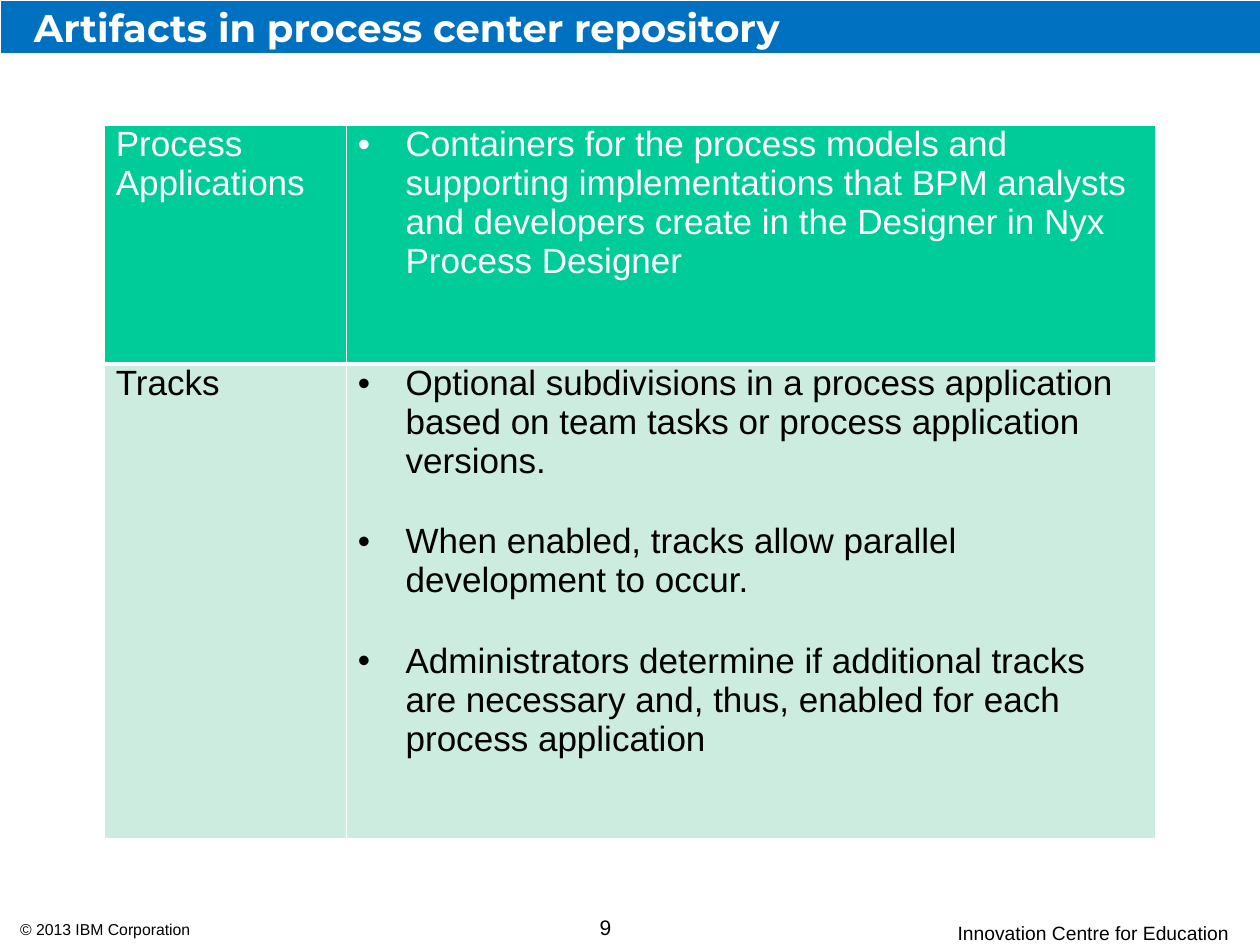
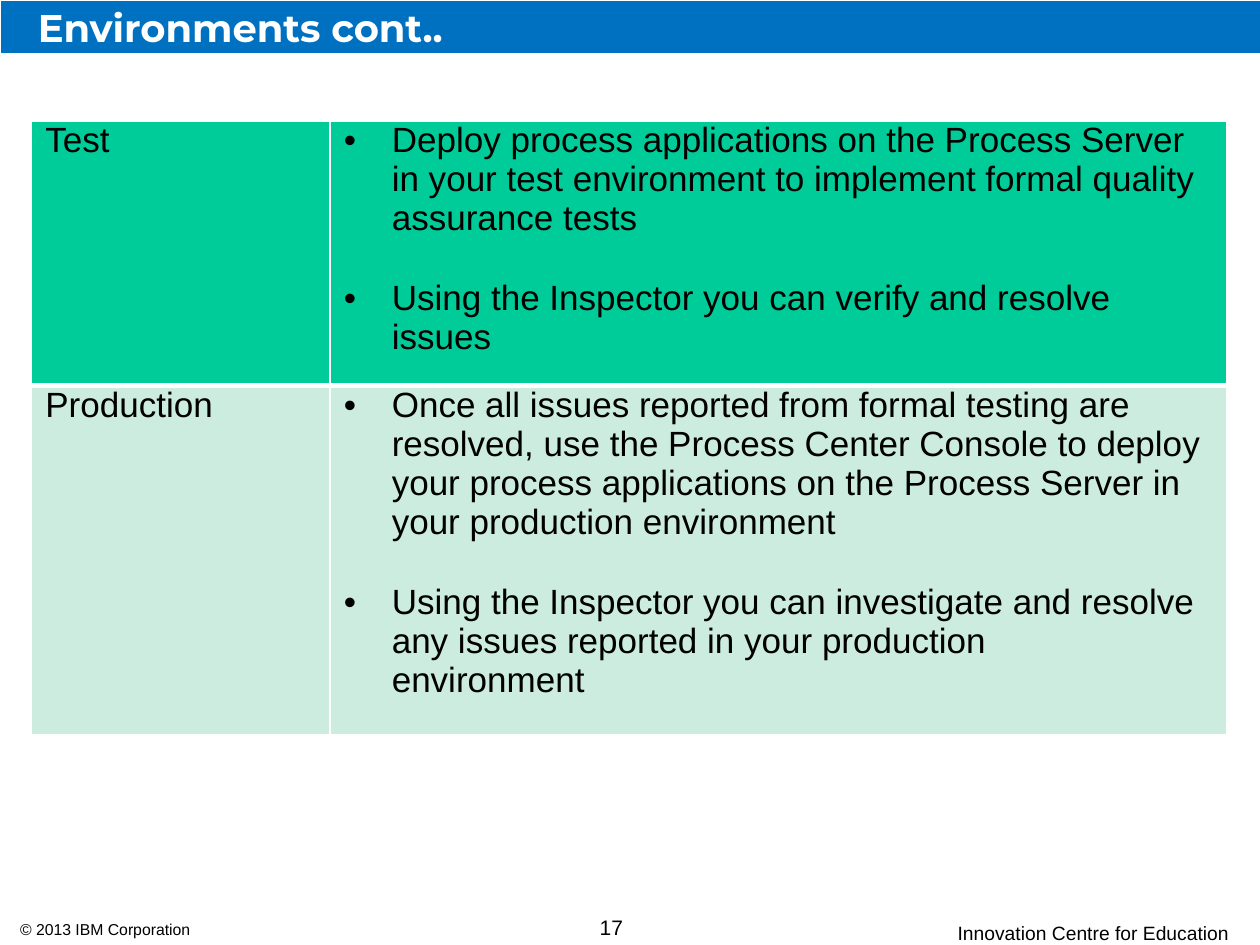
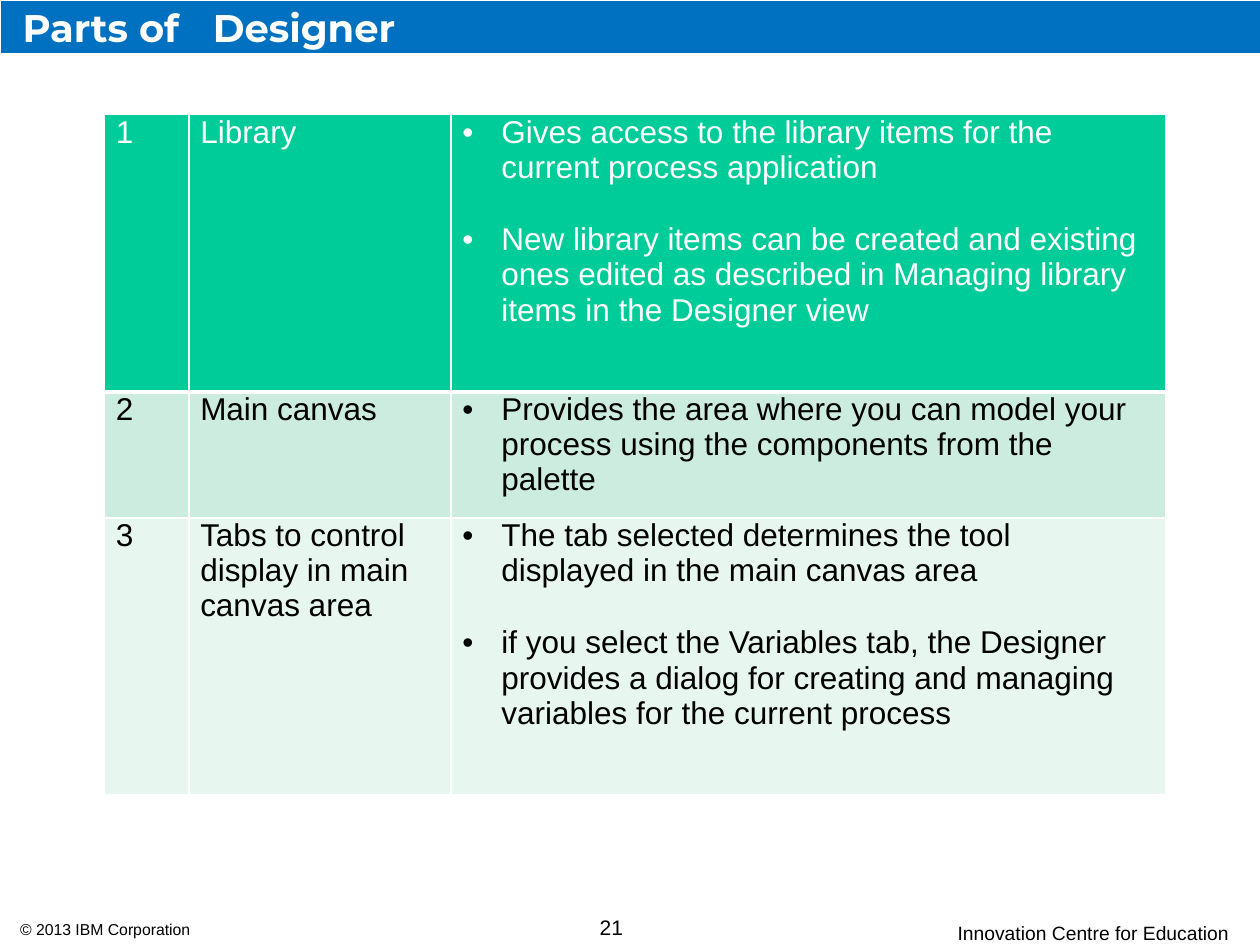
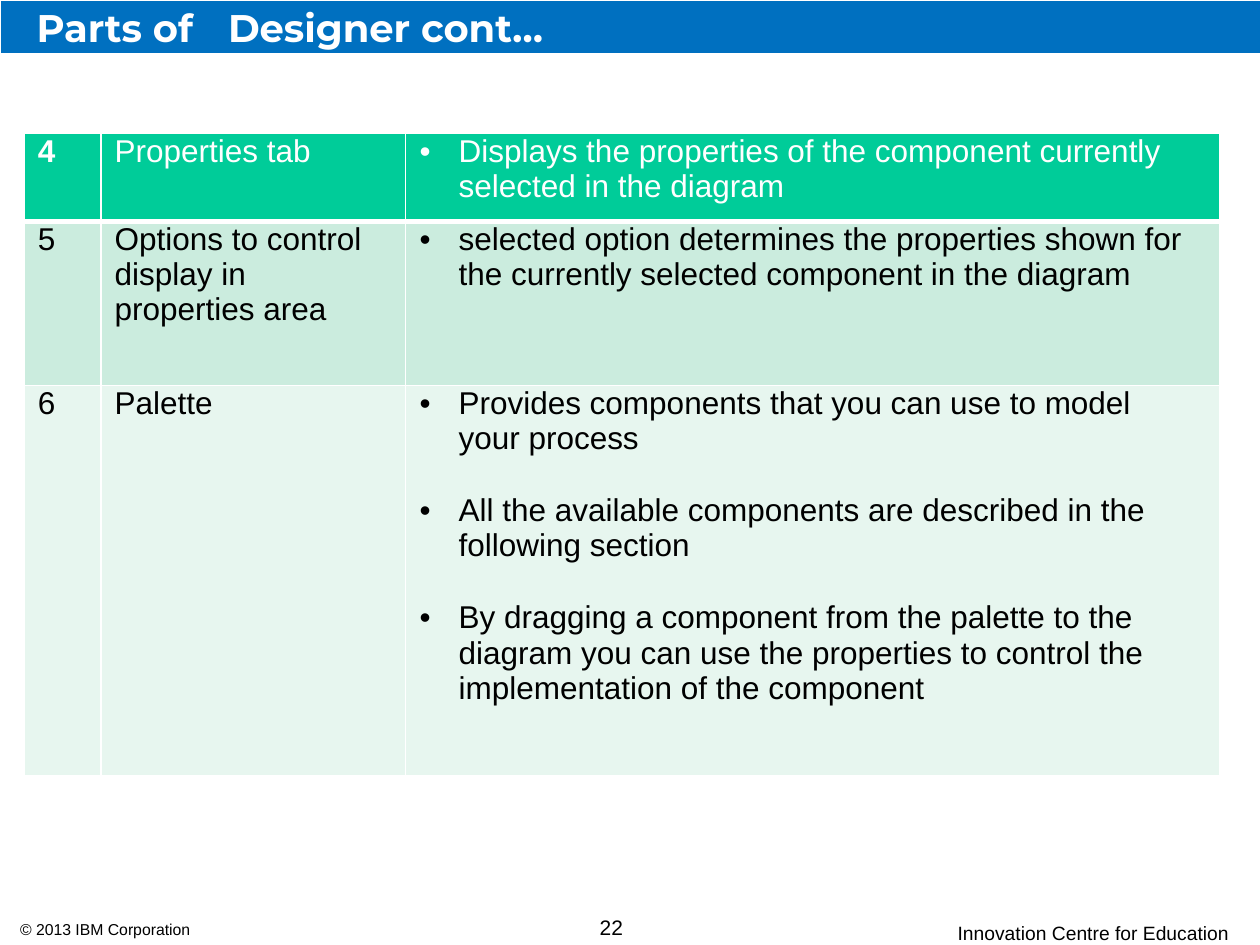
from pptx import Presentation
from pptx.dml.color import RGBColor
from pptx.enum.shapes import MSO_SHAPE
from pptx.oxml.ns import qn
from pptx.util import Inches, Pt
from lxml import etree

RECTANGLE = MSO_SHAPE.RECTANGLE

# Shared look
BLUE = RGBColor(0x00, 0x70, 0xC0)
WHITE = RGBColor(0xFF, 0xFF, 0xFF)
BLACK = RGBColor(0x00, 0x00, 0x00)
GREEN = RGBColor(0x00, 0xCC, 0x99)
PALE_GREEN = RGBColor(0xCB, 0xEC, 0xDE)
MIST_GREEN = RGBColor(0xE7, 0xF6, 0xEF)
ROW_FILLS = [GREEN, PALE_GREEN, MIST_GREEN]
TITLE_FONT = "Montserrat"
BODY_FONT = "Arial"
CELL_RIGHT_MARGIN = 0.15
BULLET_GAP = 1.17  # space between bullets, in multiples of the text size

# Slide content: the last cell of each row is a list of bullets
PAGES = [
    {
        "number": 9,
        "titles": [(0.27, "Artifacts in process center repository")],
        "table_at": (0.83, 0.99),
        "columns": [1.92, 6.42],
        "row_heights": [1.9, 3.77],
        "size": 20, "margin": 0.09, "hanging": 0.38, "top_color": WHITE,
        "rows": [
            ["Process Applications", [
                "Containers for the process models and supporting implementations that BPM "
                "analysts and developers create in the Designer in Nyx Process Designer"]],
            ["Tracks", [
                "Optional subdivisions in a process application based on team tasks or "
                "process application versions.",
                "When enabled, tracks allow parallel development to occur.",
                "Administrators determine if additional tracks are necessary and, thus, "
                "enabled for each process application"]],
        ],
    },
    {
        "number": 17,
        "titles": [(0.3, "Environments cont..")],
        "table_at": (0.25, 0.96),
        "columns": [2.37, 7.12],
        "row_heights": [2.1, 2.77],
        "size": 20, "margin": 0.11, "hanging": 0.38, "top_color": BLACK,
        "rows": [
            ["Test", [
                "Deploy process applications on the Process Server in your test environment "
                "to implement formal quality assurance tests",
                "Using the Inspector you can verify and resolve issues"]],
            ["Production", [
                "Once all issues reported from formal testing are resolved, use the Process "
                "Center Console to deploy your process applications on the Process Server in "
                "your production environment",
                "Using the Inspector you can investigate and resolve any issues reported in "
                "your production\venvironment"]],
        ],
    },
    {
        "number": 21,
        "titles": [(0.18, "Parts of"), (1.69, "Designer")],
        "table_at": (0.83, 0.91),
        "columns": [0.67, 2.08, 5.67],
        "row_heights": [2.2, 1, 2.2],
        "size": 18, "margin": 0.09, "hanging": 0.31, "top_color": WHITE,
        "rows": [
            ["1", "Library", [
                "Gives access to the library items for the current process application",
                "New library items can be created and existing ones edited as described in "
                "Managing library items in the Designer view"]],
            ["2", "Main canvas", [
                "Provides the area where you can model your process using the components "
                "from the palette"]],
            ["3", "Tabs to control display in main canvas area", [
                "The tab selected determines the tool displayed in the main canvas area",
                "if you select the Variables tab, the Designer provides a dialog for creating "
                "and managing variables for the current process"]],
        ],
    },
    {
        "number": 22,
        "titles": [(0.29, "Parts of"), (1.81, "Designer cont…")],
        "table_at": (0.19, 1.06),
        "columns": [0.61, 2.42, 6.46],
        "row_heights": [0.7, 1.3, 3.1],
        "size": 18, "margin": 0.11, "hanging": 0.31, "top_color": WHITE,
        "rows": [
            ["4", "Properties tab", [
                "Displays the properties of the component currently selected in the diagram"]],
            ["5", "Options to control display in properties area", [
                "selected option determines the properties shown for the currently selected "
                "component in the diagram"]],
            ["6", "Palette", [
                "Provides components that you can use to model your process",
                "All the available components are described in the following section",
                "By dragging a component from the palette to the diagram you can use the "
                "properties to control the implementation of the component"]],
        ],
    },
]


def add_label(page, left, top, width, height, text, size, font=BODY_FONT, color=BLACK, bold=False):
    """Add a one-line text box without insets."""
    box = page.shapes.add_textbox(Inches(left), Inches(top), Inches(width), Inches(height))
    frame = box.text_frame
    frame.word_wrap = True
    frame.margin_left = frame.margin_right = frame.margin_top = frame.margin_bottom = 0
    frame.text = text
    span = frame.paragraphs[0].runs[0]
    span.font.name = font
    span.font.size = Pt(size)
    span.font.bold = bold
    span.font.color.rgb = color


def style_cell(cell, fill, widths):
    """Give a cell white borders (side to points) and a solid fill."""
    properties = cell._tc.get_or_add_tcPr()
    for side, width in widths.items():
        line = etree.SubElement(properties, qn("a:ln" + side), w=str(Pt(width)))
        solid = etree.SubElement(line, qn("a:solidFill"))
        etree.SubElement(solid, qn("a:srgbClr"), val=str(WHITE))
    cell.fill.solid()
    cell.fill.fore_color.rgb = fill


deck = Presentation()
deck.slide_width = Inches(10)
deck.slide_height = Inches(7.5)

for content in PAGES:
    page = deck.slides.add_slide(deck.slide_layouts[6])

    # Title band
    band = page.shapes.add_shape(RECTANGLE, Inches(0.01), Inches(0.01), Inches(9.99), Inches(0.41))
    band.shadow.inherit = False
    band.fill.solid()
    band.fill.fore_color.rgb = BLUE
    band.line.fill.background()
    title_ends = [left for left, text in content["titles"][1:]] + [9.83]
    for (left, text), end in zip(content["titles"], title_ends):
        add_label(page, left, 0.03, end - left, 0.39, text, 22, TITLE_FONT, WHITE, True)

    # Footer
    add_label(page, 4.76, 7.26, 0.3, 0.19, str(content["number"]), 12)
    add_label(page, 0.16, 7.3, 1.5, 0.15, "© 2013 IBM Corporation", 9)
    add_label(page, 7.6, 7.31, 2.25, 0.18, "Innovation Centre for Education", 11)

    # Table grid
    columns, heights, rows = content["columns"], content["row_heights"], content["rows"]
    left, top = content["table_at"]
    table = page.shapes.add_table(len(rows), len(columns), Inches(left), Inches(top),
                                  Inches(sum(columns)), Inches(sum(heights))).table
    table.first_row = False
    table.horz_banding = False
    for column, width in zip(table.columns, columns):
        column.width = Inches(width)
    for row, height in zip(table.rows, heights):
        row.height = Inches(height)

    # Table cells
    for row_index, row in enumerate(rows):
        borders = {"L": 1, "R": 1, "T": 3 if row_index == 1 else 1, "B": 3 if row_index == 0 else 1}
        color = content["top_color"] if row_index == 0 else BLACK
        for column_index, entry in enumerate(row):
            cell = table.cell(row_index, column_index)
            cell.margin_left = Inches(content["margin"])
            cell.margin_right = Inches(CELL_RIGHT_MARGIN)
            cell.margin_top = cell.margin_bottom = 0
            style_cell(cell, ROW_FILLS[row_index], borders)

            bulleted = isinstance(entry, list)
            for index, text in enumerate(entry if bulleted else [entry]):
                frame = cell.text_frame
                para = frame.paragraphs[0] if index == 0 else frame.add_paragraph()
                para.text = text
                if index > 0:
                    para.space_before = Pt(content["size"] * BULLET_GAP)
                if bulleted:
                    hanging = Inches(content["hanging"])
                    properties = para._p.get_or_add_pPr()
                    properties.set("marL", str(hanging))
                    properties.set("indent", str(-hanging))
                    etree.SubElement(properties, qn("a:buFont"), typeface=BODY_FONT)
                    etree.SubElement(properties, qn("a:buChar"), char="•")
                for span in para.runs:
                    span.font.name = BODY_FONT
                    span.font.size = Pt(content["size"])
                    span.font.color.rgb = color
                    span.font.bold = text == "4"

deck.save("out.pptx")
